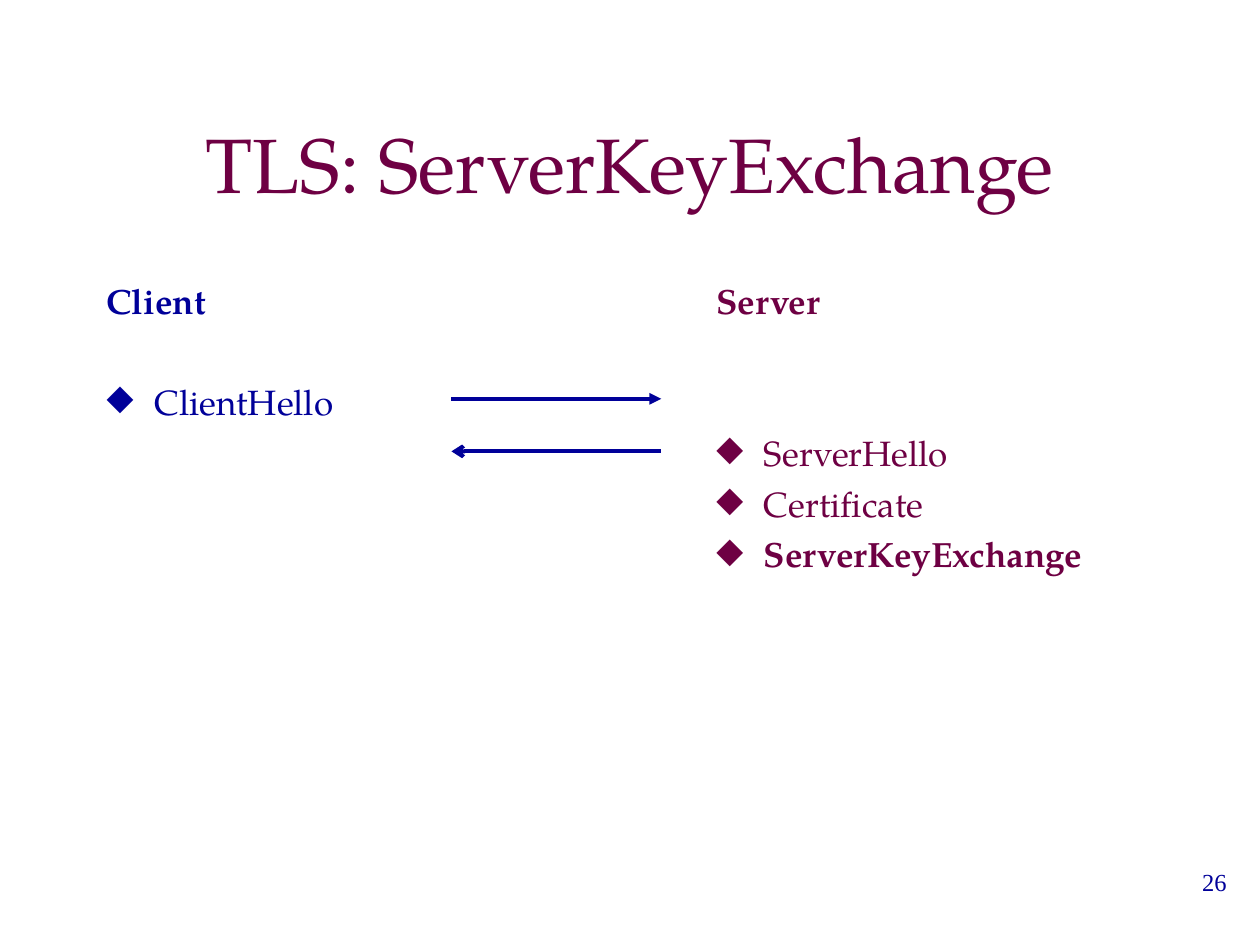
from lxml import etree
from pptx import Presentation
from pptx.dml.color import RGBColor
from pptx.enum.shapes import MSO_CONNECTOR
from pptx.enum.text import MSO_ANCHOR, PP_ALIGN
from pptx.oxml.ns import qn
from pptx.util import Cm, Pt

PLUM = RGBColor(0x6E, 0x00, 0x43)
BLUE = RGBColor(0x00, 0x00, 0x99)
SERIF = "TeX Gyre Pagella"
NUMBER_FONT = "Times New Roman"
ROW_PITCH = 29
PARAGRAPH_GAP = 5


def add_text_box(slide, box):
    text_frame = slide.shapes.add_textbox(*box).text_frame
    text_frame.word_wrap = True
    return text_frame


def format_paragraph(paragraph, size, color, font=SERIF, bold=False):
    for run in paragraph.runs:
        run.font.name = font
        run.font.size = Pt(size)
        run.font.bold = bold
        run.font.color.rgb = color


def add_title(slide, box, text):
    text_frame = add_text_box(slide, box)
    text_frame.vertical_anchor = MSO_ANCHOR.MIDDLE
    paragraph = text_frame.paragraphs[0]
    paragraph.text = text
    paragraph.alignment = PP_ALIGN.CENTER
    format_paragraph(paragraph, 44, PLUM)


def set_bullet(paragraph, margin, hanging, color):
    properties = paragraph._p.get_or_add_pPr()
    properties.set("marL", str(margin + hanging))
    properties.set("indent", str(-hanging))
    bullet_color = etree.SubElement(properties, qn("a:buClr"))
    etree.SubElement(bullet_color, qn("a:srgbClr"), val=str(color))
    etree.SubElement(properties, qn("a:buChar"), char="◆")


def add_party(slide, box, heading, messages, color, margin, skipped_rows):
    """List a party's messages; skipped_rows lines stay free under the heading."""
    text_frame = add_text_box(slide, box)
    paragraph = text_frame.paragraphs[0]
    paragraph.text = heading
    paragraph.space_before = Pt(PARAGRAPH_GAP)
    paragraph._p.get_or_add_pPr().set("marL", str(margin))
    format_paragraph(paragraph, 20, color, bold=True)
    for index, (message, bold) in enumerate(messages):
        paragraph = text_frame.add_paragraph()
        paragraph.text = message
        skipped = skipped_rows * ROW_PITCH if index == 0 else 0
        paragraph.space_before = Pt(PARAGRAPH_GAP + skipped)
        set_bullet(paragraph, margin, Cm(0.96), color)
        format_paragraph(paragraph, 20, color, bold=bold)


def add_arrow(slide, left, right, y, end, style):
    """Draw a level line whose head is at its 'tailEnd' (right) or 'headEnd' (left)."""
    connector = slide.shapes.add_connector(MSO_CONNECTOR.STRAIGHT, left, y, right, y)
    connector.line.color.rgb = BLUE
    connector.line.width = Pt(2.25)
    etree.SubElement(connector.get_or_add_ln(), qn(f"a:{end}"), type=style)
    etree.SubElement(connector._element.spPr, qn("a:effectLst"))


def add_exchange(slide, left, top, width, gap):
    add_arrow(slide, left, left + width, top, "tailEnd", "triangle")
    add_arrow(slide, left, left + width, top + gap, "headEnd", "arrow")


def add_slide_number(slide, box, number):
    paragraph = add_text_box(slide, box).paragraphs[0]
    paragraph.text = number
    paragraph.alignment = PP_ALIGN.RIGHT
    format_paragraph(paragraph, 14, BLUE, NUMBER_FONT)


def main():
    presentation = Presentation()
    presentation.slide_width, presentation.slide_height = Cm(25.4), Cm(19.05)
    slide = presentation.slides.add_slide(presentation.slide_layouts[6])

    left, top, column_width, column_height = Cm(1.9), Cm(5.5), Cm(10.58), Cm(11.43)
    add_title(slide, (left, Cm(1.7), Cm(21.6), Cm(3.18)), "TLS: ServerKeyExchange")
    add_party(slide, (left, top, column_width, column_height), "Client",
              [("ClientHello", False)], BLUE, margin=0, skipped_rows=1)
    add_party(slide, (Cm(12.92), top, column_width, column_height), "Server",
              [("ServerHello", False), ("Certificate", False),
               ("ServerKeyExchange", True)],
              PLUM, margin=Cm(1.27), skipped_rows=2)
    add_exchange(slide, Cm(9.1), Cm(8.04), Cm(4.23), Cm(1.06))
    add_slide_number(slide, (Cm(19.69), Cm(17.36), Cm(5.29), Cm(1.27)), "26")
    presentation.save("out.pptx")


if __name__ == "__main__":
    main()
